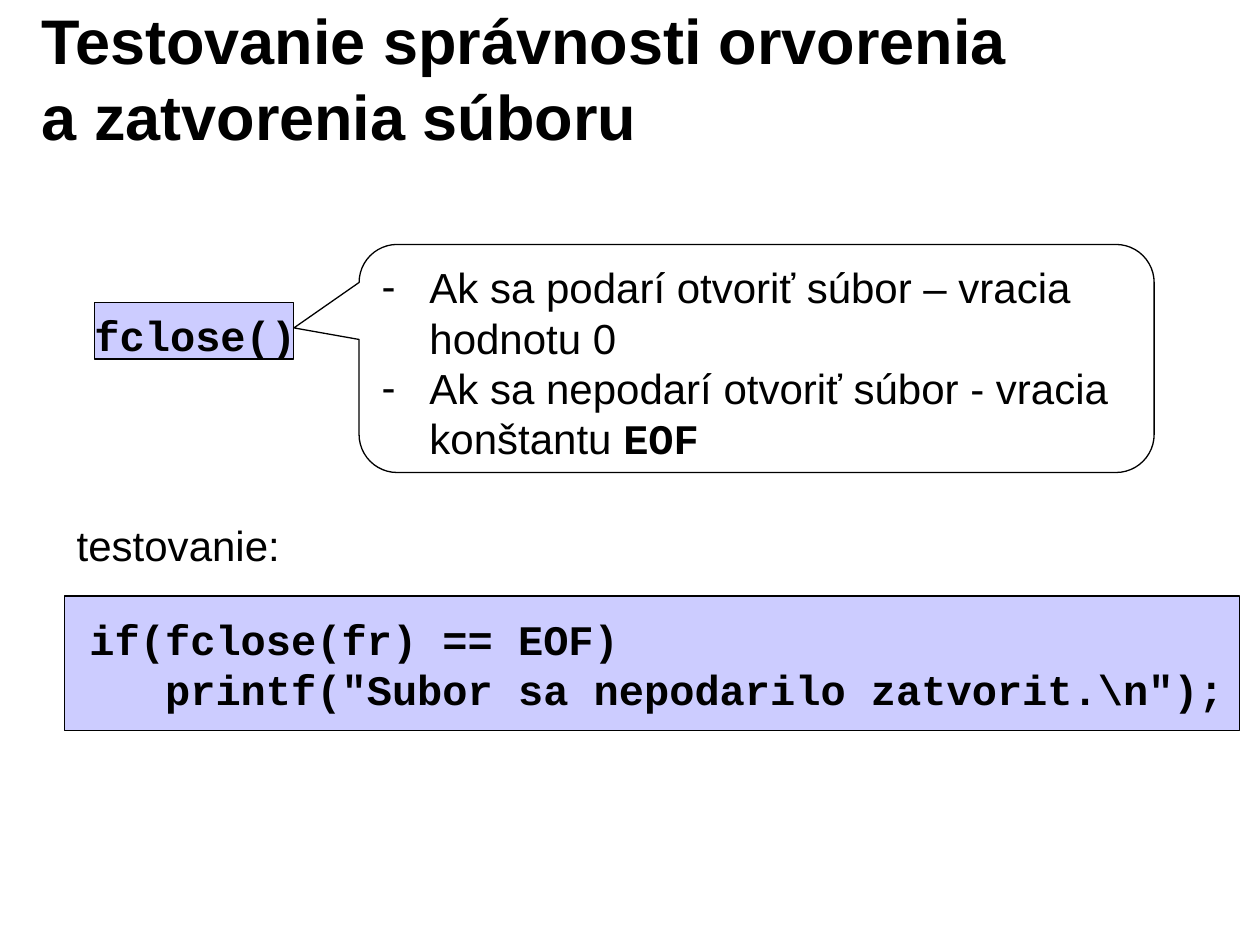
from dataclasses import dataclass

from lxml.etree import SubElement
from pptx import Presentation
from pptx.dml.color import RGBColor
from pptx.enum.shapes import MSO_SHAPE
from pptx.enum.text import MSO_ANCHOR, MSO_AUTO_SIZE, PP_ALIGN
from pptx.oxml.ns import qn
from pptx.util import Inches, Pt

BLACK, LILAC = "000000", "CCCCFF"
BODY = {"name": "Arial", "size": Pt(24), "bold": False}
CODE = {"name": "Courier New", "size": Pt(24), "bold": True}
TITLE = {"name": "Arial", "size": Pt(36), "bold": True}
INSETS = {"margin_left": Inches(0.09), "margin_right": Inches(0.09),
          "margin_top": Inches(0.05), "margin_bottom": Inches(0.05)}


@dataclass
class Box:
    left: float
    top: float
    width: float
    height: float

    def lengths(self) -> list:
        return [Inches(v) for v in (self.left, self.top, self.width, self.height)]


@dataclass
class Label:
    box: Box
    lines: list
    style: dict
    align: PP_ALIGN


def rgb(value: str) -> RGBColor:
    return RGBColor.from_string(value)


def set_attrs(target, values: dict) -> None:
    for name, value in values.items():
        setattr(target, name, value)


def add_run(p, text: str, style: dict) -> None:
    r = p.add_run()
    r.text = text
    set_attrs(r.font, style)
    r.font.color.rgb = rgb(BLACK)


def next_paragraph(tf, index: int):
    return tf.add_paragraph() if index else tf.paragraphs[0]


def add_outlined(s, kind: MSO_SHAPE, box: Box, fill: str = ""):
    sp = s.shapes.add_shape(kind, *box.lengths())
    sp.shadow.inherit = False
    if fill:
        sp.fill.solid()
        sp.fill.fore_color.rgb = rgb(fill)
    else:
        sp.fill.background()
    sp.line.color.rgb = rgb(BLACK)
    sp.line.width = Pt(0.75)
    return sp


def add_label(s, label: Label) -> None:
    tf = s.shapes.add_textbox(*label.box.lengths()).text_frame
    set_attrs(tf, INSETS | {"word_wrap": False,
                            "auto_size": MSO_AUTO_SIZE.SHAPE_TO_FIT_TEXT})
    for i, line in enumerate(label.lines):
        p = next_paragraph(tf, i)
        p.alignment = label.align
        add_run(p, line, label.style)


def add_dash(p) -> None:
    pPr = p._p.get_or_add_pPr()
    pPr.set("marL", str(Inches(0.38)))
    pPr.set("indent", str(-Inches(0.38)))
    color = SubElement(pPr, qn("a:buClr"))
    SubElement(color, qn("a:srgbClr")).set("val", BLACK)
    SubElement(pPr, qn("a:buFont")).set("typeface", "Arial")
    SubElement(pPr, qn("a:buChar")).set("char", "-")


def add_callout(s, box: Box, items: list) -> None:
    sp = add_outlined(s, MSO_SHAPE.ROUNDED_RECTANGULAR_CALLOUT, box)
    for i, value in enumerate((-0.582, -0.134, 0.167)):
        sp.adjustments[i] = value
    tf = sp.text_frame
    set_attrs(tf, INSETS | {"word_wrap": True, "vertical_anchor": MSO_ANCHOR.TOP})
    for i, runs in enumerate(items):
        p = next_paragraph(tf, i)
        p.alignment = PP_ALIGN.LEFT
        add_dash(p)
        for text, style in runs:
            add_run(p, text, style)


def main() -> None:
    prs = Presentation()
    prs.slide_width, prs.slide_height = Inches(10), Inches(7.5)
    s = prs.slides.add_slide(prs.slide_layouts[5])

    # Title
    title = s.shapes.title
    title.left, title.top, title.width, title.height = Box(0.23, 0.15, 8.03, 0.93).lengths()
    tf = title.text_frame
    set_attrs(tf, {"word_wrap": True, "auto_size": MSO_AUTO_SIZE.NONE,
                   "vertical_anchor": MSO_ANCHOR.MIDDLE})
    p = tf.paragraphs[0]
    p.alignment = PP_ALIGN.LEFT
    add_run(p, "Testovanie správnosti orvorenia a zatvorenia súboru", TITLE)

    # Function name and what it returns
    add_outlined(s, MSO_SHAPE.RECTANGLE, Box(0.75, 2.4, 1.58, 0.45), LILAC)
    add_label(s, Label(Box(0.61, 2.41, 1.88, 0.49), ["fclose()"], CODE, PP_ALIGN.CENTER))
    add_callout(s, Box(2.85, 1.94, 6.31, 1.81), [
        [("Ak sa podarí otvoriť súbor – vracia hodnotu 0", BODY)],
        [("Ak sa nepodarí otvoriť súbor - vracia konštantu ", BODY), ("EOF", CODE)],
    ])

    # Test code
    add_label(s, Label(Box(0.47, 4.07, 1.89, 0.49), ["testovanie:"], BODY, PP_ALIGN.CENTER))
    add_outlined(s, MSO_SHAPE.RECTANGLE, Box(0.51, 4.73, 9.33, 1.07), LILAC)
    add_label(s, Label(Box(0.62, 4.82, 9.28, 0.89), [
        "if(fclose(fr) == EOF)",
        '   printf("Subor sa nepodarilo zatvorit.\\n");',
    ], CODE, PP_ALIGN.LEFT))

    prs.save("out.pptx")


if __name__ == "__main__":
    main()
